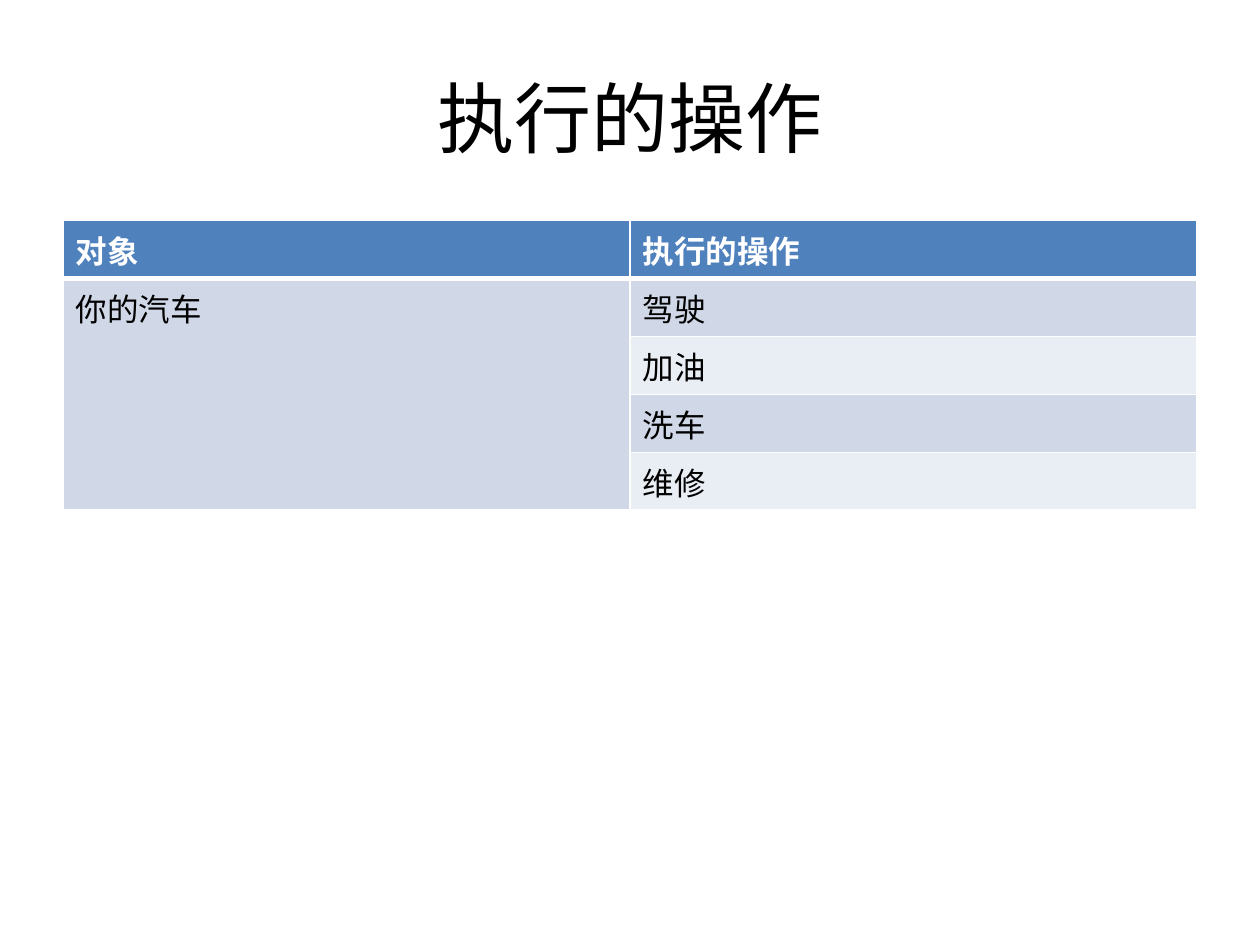
from dataclasses import dataclass

from lxml.etree import SubElement
from pptx import Presentation
from pptx.dml.color import RGBColor as RGB
from pptx.enum.text import MSO_ANCHOR as Anchor, PP_ALIGN as Align
from pptx.oxml.ns import qn
from pptx.util import Inches, Pt


@dataclass(frozen=True)
class Theme:
    """Font, type sizes and colours of the slide."""
    font: str = "Calibri"
    title_size: int = 44
    body_size: int = 18
    text: str = "000000"
    white: str = "FFFFFF"
    header: str = "4F81BD"
    bands: tuple = ("D0D8E8", "E9EDF4")


THEME = Theme()
HEADINGS = ("对象", "执行的操作")
SUBJECT = "你的汽车"
ACTIONS = ("驾驶", "加油", "洗车", "维修")


def add_run(p, text, size, color, bold=False):
    """Add one styled run to a paragraph."""
    r = p.add_run()
    r.text = text
    r.font.name = THEME.font
    r.font.size = Pt(size)
    r.font.bold = bold
    r.font.color.rgb = RGB.from_string(color)


def add_title(s, text):
    """Add the centred slide title."""
    sp = s.shapes.add_textbox(Inches(0.5), Inches(0.3), Inches(9), Inches(1.25))
    tf = sp.text_frame
    tf.word_wrap = True
    tf.vertical_anchor = Anchor.MIDDLE
    p = tf.paragraphs[0]
    p.alignment = Align.CENTER
    add_run(p, text, THEME.title_size, THEME.text)


def set_borders(cell, top=1, bottom=1):
    """Draw white cell borders with the given top and bottom widths."""
    tc_pr = cell._tc.get_or_add_tcPr()
    widths = {"a:lnL": 1, "a:lnR": 1, "a:lnT": top, "a:lnB": bottom}
    for tag, width in widths.items():
        ln = SubElement(tc_pr, qn(tag), w=str(Pt(width)))
        fill = SubElement(ln, qn("a:solidFill"))
        SubElement(fill, qn("a:srgbClr"), val=THEME.white)


def style_cell(cell, fill, top=1, bottom=1):
    """Set the borders and fill of a cell."""
    set_borders(cell, top, bottom)
    cell.fill.solid()
    cell.fill.fore_color.rgb = RGB.from_string(fill)


def add_action_table(s):
    """Add the table that lists the actions for one subject."""
    count = len(ACTIONS) + 1
    table = s.shapes.add_table(count, 2, Inches(0.5), Inches(1.75),
                               Inches(9), Inches(0.46 * count)).table
    for col, heading in enumerate(HEADINGS):
        cell = table.cell(0, col)
        style_cell(cell, THEME.header, bottom=3)
        add_run(cell.text_frame.paragraphs[0], heading,
                THEME.body_size, THEME.white, bold=True)
    for row, action in enumerate(ACTIONS, 1):
        top = 3 if row == 1 else 1
        style_cell(table.cell(row, 0), THEME.bands[0], top)
        cell = table.cell(row, 1)
        style_cell(cell, THEME.bands[(row - 1) % 2], top)
        add_run(cell.text_frame.paragraphs[0], action,
                THEME.body_size, THEME.text)
    subject = table.cell(1, 0)
    subject.merge(table.cell(count - 1, 0))
    add_run(subject.text_frame.paragraphs[0], SUBJECT,
            THEME.body_size, THEME.text)


def main():
    """Build and save the slide."""
    prs = Presentation()
    prs.slide_width, prs.slide_height = Inches(10), Inches(7.5)
    s = prs.slides.add_slide(prs.slide_layouts[6])
    add_title(s, "执行的操作")
    add_action_table(s)
    prs.save("out.pptx")


if __name__ == "__main__":
    main()
